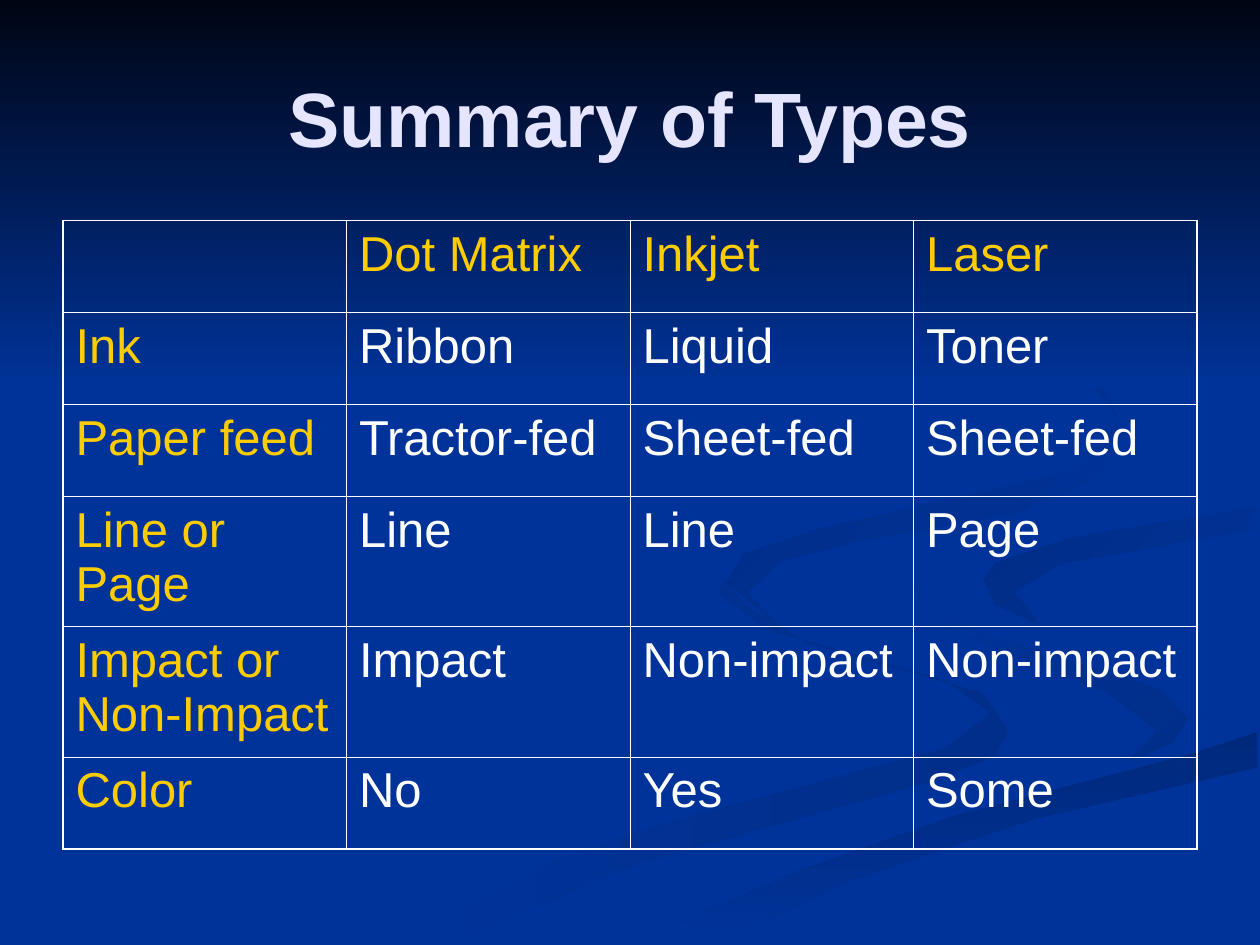
import pptx
import pptx.util
import pptx.dml.color
import pptx.enum.shapes
import pptx.enum.text
import pptx.oxml
import pptx.oxml.ns

Inches, Pt = pptx.util.Inches, pptx.util.Pt
RGB = pptx.dml.color.RGBColor

WHITE = RGB(0xFF, 0xFF, 0xFF)
GOLD = RGB(0xFF, 0xCC, 0x00)
PALE = RGB(0xE5, 0xE5, 0xFF)
BLUE = RGB(0x00, 0x33, 0x99)
NIGHT = RGB(0x00, 0x05, 0x14)
DUSK = RGB(0x00, 0x2E, 0x8A)
DEEP = RGB(0x00, 0x29, 0x7C)
SHADE = RGB(0x00, 0x2C, 0x85)

FONT = "Arial"
TITLE = "Summary of Types"
ROWS = [
    ["", "Dot Matrix", "Inkjet", "Laser"],
    ["Ink", "Ribbon", "Liquid", "Toner"],
    ["Paper feed", "Tractor-fed", "Sheet-fed", "Sheet-fed"],
    ["Line or Page", "Line", "Line", "Page"],
    ["Impact or Non-Impact", "Impact", "Non-impact", "Non-impact"],
    ["Color", "No", "Yes", "Some"],
]
LOW, TALL = 0.73, 1.03
HEIGHTS = [LOW, LOW, LOW, TALL, TALL, LOW]
THIN, THICK = 0.45, 1.08

# Background ribbons: start colour, end colour, clockwise angle, outline
RIBBONS = [
    (DUSK, BLUE, 180, [
        (7.8, 5.5), (6.4, 5.1), (5.9, 4.8), (5.75, 4.59), (5.7, 4.7),
        (6.1, 5), (7.5, 5.4), (7.86, 5.66), (7.5, 5.94), (5.4, 6.5),
        (4.2, 6.9), (3, 7.49), (3.6, 7.49), (5, 6.87), (7.4, 6.2),
        (7.9, 6), (8, 5.8)]),
    (DUSK, BLUE, 225, [
        (9.43, 5.7), (9.2, 5.47), (7.7, 5), (7.24, 4.64), (7.4, 4.94),
        (8.8, 5.5), (9.18, 5.8), (8.94, 6.05), (9.3, 5.9)]),
    (DEEP, BLUE, 90, [
        (5.03, 7.49), (5.7, 7.49), (6.7, 7), (8.2, 6.5), (9.98, 6.09),
        (9.98, 5.81), (9.4, 6), (7.6, 6.47), (6.3, 6.93)]),
    (BLUE, SHADE, 225, [
        (7.81, 4.6), (7.9, 4.8), (8.26, 4.96), (8.05, 4.7), (8.4, 4.48),
        (9.98, 4.2), (9.98, 4.02), (8.5, 4.27), (7.9, 4.47)]),
    (BLUE, SHADE, 225, [
        (6.8, 4.3), (8.1, 4.07), (8.7, 3.8), (8.94, 3.44), (8.7, 2.95),
        (7.62, 2.33), (8.5, 2.8), (8.89, 3.35), (8.5, 3.74), (6.5, 4.2),
        (5.9, 4.4), (5.77, 4.62), (6.22, 5), (5.93, 4.7), (6.2, 4.45)]),
]


def paint(shape, start, end, angle):
    shape.shadow.inherit = False
    shape.line.fill.background()
    shape.fill.gradient()
    shape.fill.gradient_angle = 360 - angle
    for stop, color in zip(shape.fill.gradient_stops, (start, end)):
        stop.color.rgb = color


def style(para, size, color, bold=False):
    font = para.font
    font.name, font.size, font.bold = FONT, Pt(size), bold
    font.color.rgb = color


def border(cell, sides):
    props = cell._tc.get_or_add_tcPr()
    for spot, (side, width) in enumerate(sides.items()):
        props.insert(spot, pptx.oxml.parse_xml(
            f'<a:ln{side} {pptx.oxml.ns.nsdecls("a")} w="{Pt(width)}">'
            f'<a:solidFill><a:srgbClr val="{WHITE}"/></a:solidFill>'
            f'</a:ln{side}>'))


deck = pptx.Presentation()
deck.slide_width, deck.slide_height = Inches(10), Inches(7.5)
slide = deck.slides.add_slide(deck.slide_layouts[6])
shapes = slide.shapes

# Background: ribbons, then the dark band at the top
slide.background.fill.solid()
slide.background.fill.fore_color.rgb = BLUE
for start, end, angle, points in RIBBONS:
    dots = [(Inches(x), Inches(y)) for x, y in points]
    pen = shapes.build_freeform(*dots[0])
    pen.add_line_segments(dots[1:], close=True)
    paint(pen.convert_to_shape(), start, end, angle)
band = shapes.add_shape(pptx.enum.shapes.MSO_SHAPE.RECTANGLE,
                        0, 0, deck.slide_width, Inches(3.08))
paint(band, NIGHT, BLUE, 90)

# Title
box = shapes.add_textbox(Inches(0.5), Inches(0.3), Inches(9), Inches(1.25))
frame = box.text_frame
frame.word_wrap = True
frame.vertical_anchor = pptx.enum.text.MSO_ANCHOR.MIDDLE
frame.text = TITLE
head = frame.paragraphs[0]
head.alignment = pptx.enum.text.PP_ALIGN.CENTER
style(head, 44, PALE, True)

# Table: gold labels in the first row and column, white values
down, across = len(ROWS), len(ROWS[0])
table = shapes.add_table(down, across, Inches(0.5), Inches(1.75),
                         Inches(9), Inches(sum(HEIGHTS))).table
table.first_row = table.horz_banding = False
for r, row in enumerate(ROWS):
    table.rows[r].height = Inches(HEIGHTS[r])
    for c, text in enumerate(row):
        cell = table.cell(r, c)
        cell.fill.background()
        cell.text = text
        style(cell.text_frame.paragraphs[0], 28, WHITE if r and c else GOLD)
        edges = {"L": c == 0, "R": c == across - 1,
                 "T": r == 0, "B": r == down - 1}
        border(cell, {side: THICK if outer else THIN
                      for side, outer in edges.items()})

deck.save("out.pptx")
